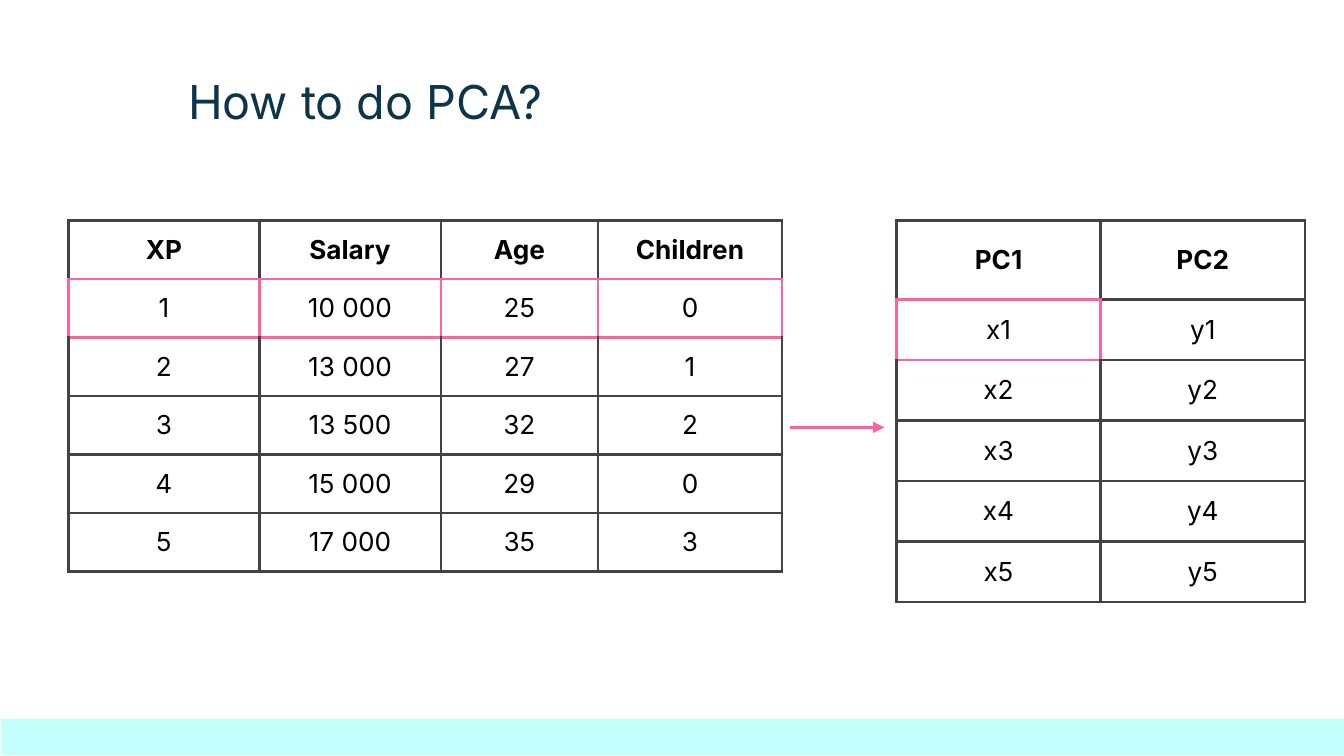
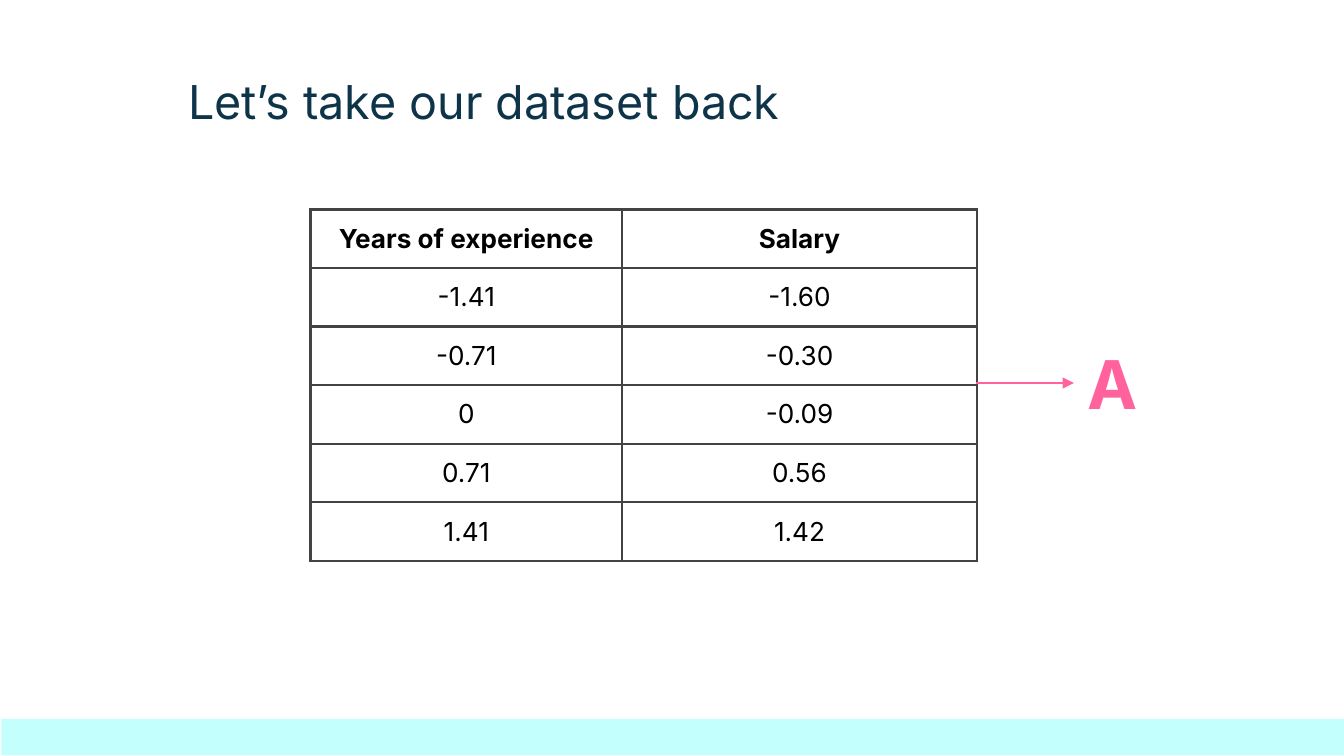
from lxml.etree import SubElement
from pptx import Presentation
from pptx.dml.color import RGBColor
from pptx.enum.shapes import MSO_CONNECTOR, MSO_SHAPE
from pptx.enum.text import MSO_ANCHOR, MSO_AUTO_SIZE, PP_ALIGN
from pptx.oxml import parse_xml
from pptx.oxml.ns import nsdecls, qn
from pptx.util import Inches, Pt

FONT = "Inter"
COLORS = {
    "title": "0E3449",
    "band": "C3FFFC",
    "accent": "FF629D",
    "grid": "434343",
    "text": "000000",
}
LINE_WIDTH = Pt(1.5)
INSET = Inches(0.1)
# Border tag and the row and column offset of the cell across it
EDGES = [("lnL", 0, -1), ("lnR", 0, 1), ("lnT", -1, 0), ("lnB", 1, 0)]


def rgb(name):
    return RGBColor.from_string(COLORS[name])


def set_text(tf, text, size=14, color="text", bold=False, align=PP_ALIGN.LEFT):
    p = tf.paragraphs[0]
    p.alignment = align
    r = p.add_run()
    r.text = text
    r.font.name = FONT
    r.font.size = Pt(size)
    r.font.bold = bold
    r.font.color.rgb = rgb(color)


def set_frame(tf, anchor):
    tf.word_wrap = True
    tf.auto_size = MSO_AUTO_SIZE.NONE
    tf.vertical_anchor = anchor
    tf.margin_left = tf.margin_right = tf.margin_top = tf.margin_bottom = INSET


def add_slide(prs, title):
    """Add a slide with its title and the band along the bottom."""
    s = prs.slides.add_slide(prs.slide_layouts.get_by_name("Title Only"))
    sp = s.shapes.title
    sp.left, sp.top = Inches(1.3), Inches(0.44)
    sp.width, sp.height = Inches(5.81), Inches(0.58)
    set_frame(sp.text_frame, MSO_ANCHOR.TOP)
    set_text(sp.text_frame, title, size=25, color="title")

    band = s.shapes.add_shape(MSO_SHAPE.RECTANGLE, Inches(0.01), Inches(5.35),
                              Inches(10), Inches(0.27))
    band.shadow.inherit = False
    band.fill.solid()
    band.fill.fore_color.rgb = rgb("band")
    band.line.fill.background()
    return s


def set_borders(cell, row, col, highlight):
    """Draw the four borders, in accent where they touch a highlighted cell."""
    tcPr = cell._tc.get_or_add_tcPr()
    for i, (tag, dr, dc) in enumerate(EDGES):
        touches = highlight & {(row, col), (row + dr, col + dc)}
        color = COLORS["accent" if touches else "grid"]
        tcPr.insert(i, parse_xml(
            f'<a:{tag} {nsdecls("a")} w="{LINE_WIDTH}"><a:solidFill>'
            f'<a:srgbClr val="{color}"/></a:solidFill></a:{tag}>'))


def add_data_table(s, left, top, widths, heights, rows, highlight=()):
    frame = s.shapes.add_table(len(rows), len(widths), Inches(left), Inches(top),
                               Inches(sum(widths)), Inches(sum(heights)))
    table = frame.table
    table.first_row = table.horz_banding = False
    for column, width in zip(table.columns, widths):
        column.width = Inches(width)
    for table_row, height in zip(table.rows, heights):
        table_row.height = Inches(height)
    for i, row in enumerate(rows):
        for j, value in enumerate(row):
            cell = table.cell(i, j)
            cell.margin_left = cell.margin_right = INSET
            cell.margin_top = cell.margin_bottom = INSET
            cell.vertical_anchor = MSO_ANCHOR.MIDDLE
            cell.fill.background()
            set_borders(cell, i, j, set(highlight))
            set_text(cell.text_frame, value, bold=i == 0, align=PP_ALIGN.CENTER)


def add_arrow(s, start, end, y):
    line = s.shapes.add_connector(MSO_CONNECTOR.STRAIGHT, Inches(start), Inches(y),
                                  Inches(end), Inches(y))
    line.line.color.rgb = rgb("accent")
    line.line.width = LINE_WIDTH
    SubElement(line.line._get_or_add_ln(), qn("a:tailEnd"), type="triangle")
    SubElement(line._element.spPr, qn("a:effectLst"))


def add_label(s, text, left, top, width, height):
    tf = s.shapes.add_textbox(Inches(left), Inches(top),
                              Inches(width), Inches(height)).text_frame
    set_frame(tf, MSO_ANCHOR.MIDDLE)
    set_text(tf, text, size=36, color="accent", bold=True)


def build_pca_slide(prs):
    s = add_slide(prs, "How to do PCA?")
    people = [
        ("XP", "Salary", "Age", "Children"),
        ("1", "10 000", "25", "0"),
        ("2", "13 000", "27", "1"),
        ("3", "13 500", "32", "2"),
        ("4", "15 000", "29", "0"),
        ("5", "17 000", "35", "3"),
    ]
    components = [("PC1", "PC2")] + [(f"x{n}", f"y{n}") for n in range(1, 6)]
    add_data_table(s, 0.51, 1.64, [1.42, 1.35, 1.17, 1.37], [0.42] + [0.43] * 5,
                   people, highlight=[(1, col) for col in range(4)])
    add_data_table(s, 6.67, 1.64, [1.52] * 2, [0.59] + [0.45] * 5,
                   components, highlight=[(1, 0)])
    add_arrow(s, 5.88, 6.58, 3.18)


def build_dataset_slide(prs):
    s = add_slide(prs, "Let’s take our dataset back")
    scaled = [
        ("Years of experience", "Salary"),
        ("-1.41", "-1.60"),
        ("-0.71", "-0.30"),
        ("0", "-0.09"),
        ("0.71", "0.56"),
        ("1.41", "1.42"),
    ]
    add_data_table(s, 2.31, 1.56, [2.32, 2.64], [0.42] * 6, scaled)
    add_label(s, "A", 7.99, 2.67, 2.21, 0.36)
    add_arrow(s, 7.26, 7.99, 2.85)


def main():
    prs = Presentation()
    prs.slide_width = Inches(10)
    prs.slide_height = prs.slide_width * 9 // 16
    build_pca_slide(prs)
    build_dataset_slide(prs)
    prs.save("out.pptx")


if __name__ == "__main__":
    main()
